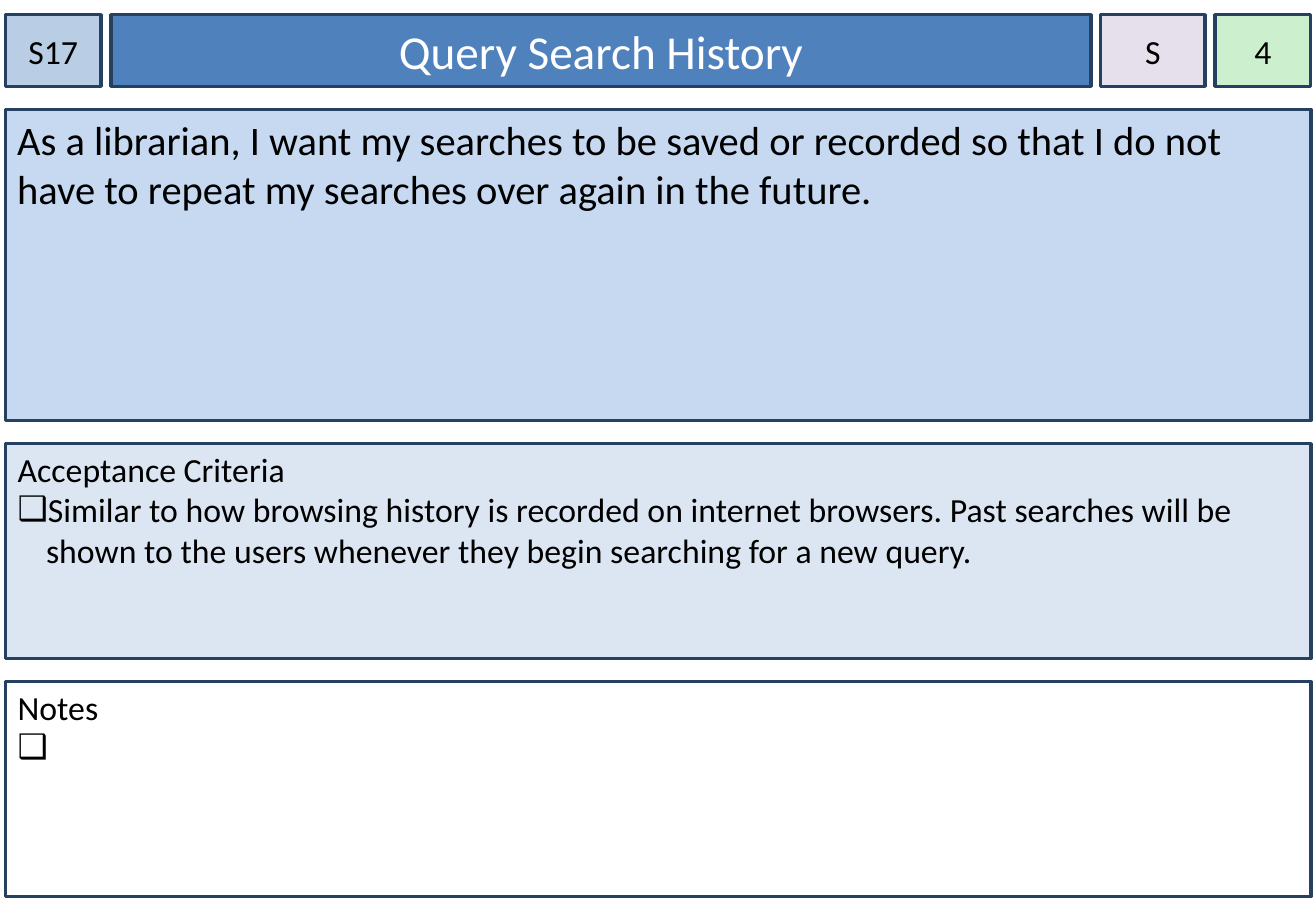
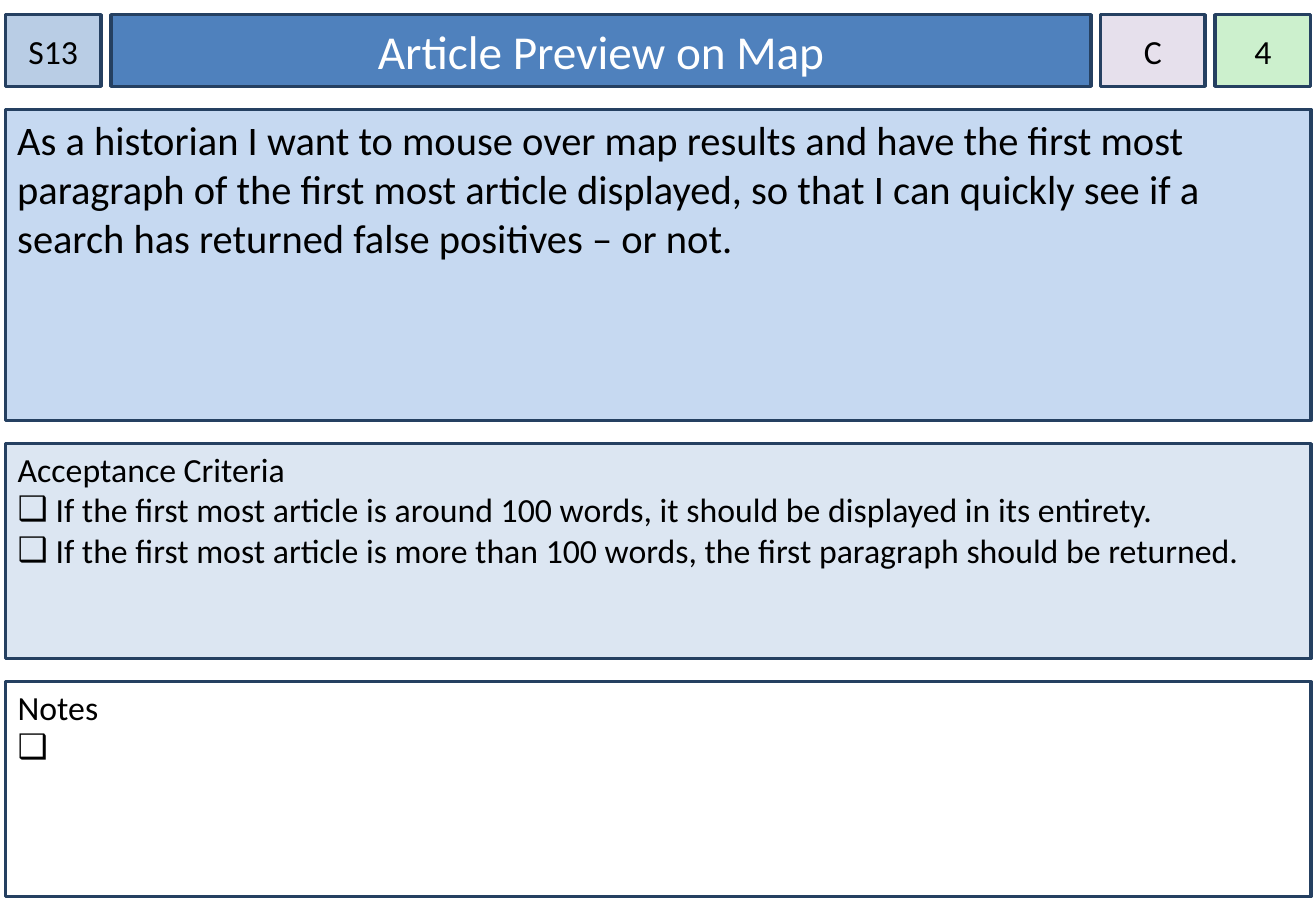
from dataclasses import dataclass

from lxml.etree import SubElement
from pptx import Presentation
from pptx.dml.color import RGBColor
from pptx.enum.shapes import MSO_SHAPE as Shape
from pptx.enum.text import MSO_ANCHOR as Anchor, PP_ALIGN as Align
from pptx.oxml.ns import qn
from pptx.util import Pt

# Shared style, lengths in points
COLORS = {
    "border": "254061",
    "ink": "000000",
    "white": "FFFFFF",
    "number": "B9CDE5",
    "title": "4F81BD",
    "priority": "E6E0EC",
    "points": "CCF0CD",
    "story": "C6D9F1",
    "criteria": "DCE6F2",
}
FONT = "Calibri"
BULLET = "❑"
PAGE_WIDTH, PAGE_HEIGHT = 780.12, 540
LEFT, TOP, WIDTH = 3.1, 8.7, 774
HEADER_HEIGHT = 42.5
COLUMN_GAP, ROW_GAP = 5.76, 13.75
INDENT, HANG = 17.1, -16.8


@dataclass(frozen=True)
class Card:
    number: str
    title: str
    priority: str
    points: str
    story: str
    criteria: tuple[str, ...]
    notes: tuple[str, ...] = (" ",)


@dataclass(frozen=True)
class HeaderCell:
    field: str
    width: float
    size: int = 20
    ink: str = "ink"
    inset: float = 0
    wrap: bool = True


@dataclass(frozen=True)
class Panel:
    field: str
    fill: str
    height: float
    heading: str = ""


HEADER = (
    HeaderCell("number", 56.9),
    HeaderCell("title", 581, size=28, ink="white", inset=7.2),
    HeaderCell("priority", 61.9, wrap=False),
    HeaderCell("points", 56.9),
)
PANELS = (
    Panel("story", "story", 184.3),
    Panel("criteria", "criteria", 127.4, "Acceptance Criteria"),
    Panel("notes", "white", 127.4, "Notes"),
)

# Card contents
CARDS = (
    Card(
        "S17", "Query Search History", "S", "4",
        "As a librarian, I want my searches to be saved or recorded so that "
        "I do not have to repeat my searches over again in the future.",
        ("Similar to how browsing history is recorded on internet browsers. "
         "Past searches will be shown to the users whenever they begin "
         "searching for a new query.",),
    ),
    Card(
        "S13", "Article Preview on Map", "C", "4",
        "As a historian I want to mouse over map results and have the first "
        "most paragraph of the first most article displayed, so that I can "
        "quickly see if a search has returned false positives – or not.",
        (" If the first most article is around 100 words, it should be "
         "displayed in its entirety.",
         " If the first most article is more than 100 words, the first "
         "paragraph should be returned."),
    ),
)


def color(name: str) -> RGBColor:
    return RGBColor.from_string(COLORS[name])


def add_box(page, left: float, top: float, width: float, height: float,
            fill: str, anchor=Anchor.TOP, inset: float = 7.2,
            inset_top: float = 3.6, wrap: bool = True):
    """Draw a bordered rectangle and return its text frame."""
    box = page.shapes.add_shape(
        Shape.RECTANGLE, Pt(left), Pt(top), Pt(width), Pt(height))
    box.shadow.inherit = False
    box.fill.solid()
    box.fill.fore_color.rgb = color(fill)
    box.line.color.rgb = color("border")
    box.line.width = Pt(2)
    frame = box.text_frame
    frame.word_wrap = wrap
    frame.vertical_anchor = anchor
    frame.margin_left = frame.margin_right = Pt(inset)
    frame.margin_top, frame.margin_bottom = Pt(inset_top), Pt(3.6)
    return frame


def write(para, text: str, size: int, ink: str = "ink", align=Align.LEFT) -> None:
    para.alignment = align
    span = para.add_run()
    span.text = text
    span.font.name = FONT
    span.font.size = Pt(size)
    span.font.color.rgb = color(ink)


def hang(para, bullet: bool) -> None:
    """Give a list paragraph its hanging indent and, if asked, a bullet."""
    properties = para._p.get_or_add_pPr()
    properties.set("marL", str(Pt(INDENT)))
    properties.set("indent", str(Pt(HANG)))
    if bullet:
        bullet_color = SubElement(properties, qn("a:buClr"))
        SubElement(bullet_color, qn("a:srgbClr"), val=COLORS["ink"])
        SubElement(properties, qn("a:buFont"), typeface=FONT)
        SubElement(properties, qn("a:buChar"), char=BULLET)


def add_header(page, card: Card) -> None:
    left = LEFT
    for cell in HEADER:
        frame = add_box(page, left, TOP, cell.width, HEADER_HEIGHT, cell.field,
                        Anchor.MIDDLE, cell.inset, wrap=cell.wrap)
        write(frame.paragraphs[0], getattr(card, cell.field), cell.size,
              cell.ink, Align.CENTER)
        left += cell.width + COLUMN_GAP


def add_panels(page, card: Card) -> None:
    top = TOP + HEADER_HEIGHT + ROW_GAP
    for panel in PANELS:
        content = getattr(card, panel.field)
        frame = add_box(page, LEFT, top, WIDTH, panel.height, panel.fill,
                        inset_top=2.9 if panel.heading else 3.6)
        first = frame.paragraphs[0]
        if panel.heading:
            write(first, panel.heading, 20)
            hang(first, bullet=False)
            for item in content:
                para = frame.add_paragraph()
                write(para, item, 20)
                hang(para, bullet=True)
        else:
            write(first, content, 24)
        top += panel.height + ROW_GAP


def main() -> None:
    deck = Presentation()
    deck.slide_width, deck.slide_height = Pt(PAGE_WIDTH), Pt(PAGE_HEIGHT)
    for card in CARDS:
        page = deck.slides.add_slide(deck.slide_layouts[6])
        add_header(page, card)
        add_panels(page, card)
    deck.save("out.pptx")


if __name__ == "__main__":
    main()
